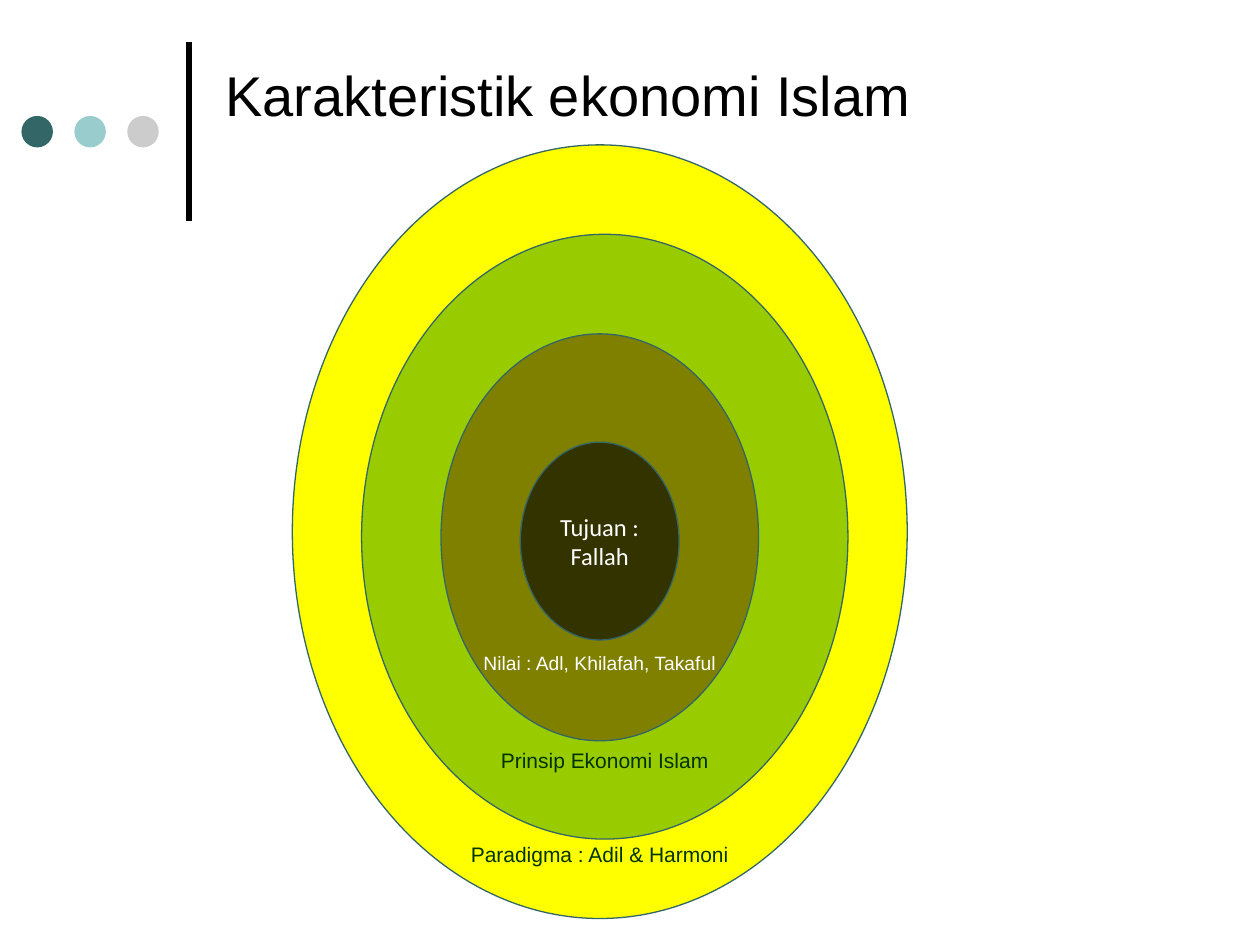
from dataclasses import dataclass

import pptx
import pptx.dml.color
import pptx.enum.shapes
import pptx.enum.text
import pptx.oxml.ns
import pptx.util
from lxml import etree

Inches = pptx.util.Inches
Pt = pptx.util.Pt
RGBColor = pptx.dml.color.RGBColor
Align = pptx.enum.text.PP_ALIGN
Anchor = pptx.enum.text.MSO_ANCHOR
OVAL = pptx.enum.shapes.MSO_SHAPE.OVAL

BLACK = RGBColor(0x00, 0x00, 0x00)
WHITE = RGBColor(0xFF, 0xFF, 0xFF)
TEAL = RGBColor(0x33, 0x66, 0x66)
AQUA = RGBColor(0x99, 0xCC, 0xCC)
GREY = RGBColor(0xCC, 0xCC, 0xCC)
YELLOW = RGBColor(0xFF, 0xFF, 0x00)
LIME = RGBColor(0x99, 0xCC, 0x00)
OLIVE = RGBColor(0x80, 0x80, 0x00)
BROWN = RGBColor(0x33, 0x33, 0x00)
GREEN = RGBColor(0x00, 0x33, 0x00)

LABEL_H = 0.3


@dataclass
class Ring:
    left: float
    top: float
    width: float
    height: float
    fill: RGBColor


@dataclass
class Label:
    text: str
    ring: Ring
    mid: float  # vertical centre
    size: float
    color: RGBColor


OUTER = Ring(2.32, 1.15, 4.88, 6.14, YELLOW)
SECOND = Ring(2.87, 1.86, 3.86, 4.8, LIME)
THIRD = Ring(3.5, 2.65, 2.52, 3.23, OLIVE)
CORE = Ring(4.13, 3.51, 1.26, 1.57, BROWN)

LABELS = [
    Label("Paradigma : Adil & Harmoni", OUTER, 6.78, 12, GREEN),
    Label("Prinsip Ekonomi Islam", SECOND, 6.03, 12, GREEN),
    Label("Nilai : Adl, Khilafah, Takaful", THIRD, 5.26, 11, WHITE),
]


def style(frame, text: str, font: str, size: float, color: RGBColor,
          align=Align.CENTER) -> None:
    frame.text = text
    frame.vertical_anchor = Anchor.MIDDLE
    for para in frame.paragraphs:
        para.alignment = align
        for run in para.runs:
            run.font.name = font
            run.font.size = Pt(size)
            run.font.color.rgb = color


def draw_oval(slide, ring: Ring, edge: bool = True):
    oval = slide.shapes.add_shape(
        OVAL, Inches(ring.left), Inches(ring.top),
        Inches(ring.width), Inches(ring.height))
    oval.shadow.inherit = False
    oval.fill.solid()
    oval.fill.fore_color.rgb = ring.fill
    if edge:
        oval.line.color.rgb = TEAL
        oval.line.width = Pt(0.75)
    else:
        oval.line.fill.background()
    return oval


def draw_label(slide, label: Label) -> None:
    ring = label.ring
    box = slide.shapes.add_textbox(
        Inches(ring.left), Inches(label.mid - LABEL_H / 2),
        Inches(ring.width), Inches(LABEL_H))
    box.text_frame.word_wrap = True
    style(box.text_frame, label.text, "Arial", label.size, label.color)


def draw_bar(slide) -> None:
    bar = slide.shapes.add_connector(
        pptx.enum.shapes.MSO_CONNECTOR.STRAIGHT,
        Inches(1.5), Inches(1.75), Inches(1.5), Inches(0.33))
    bar.line.color.rgb = BLACK
    bar.line.width = Pt(3)
    etree.SubElement(bar._element.spPr, pptx.oxml.ns.qn("a:effectLst"))


def draw_title(slide) -> None:
    title = slide.shapes.title
    title.left, title.top = Inches(1.69), Inches(0.28)
    title.width, title.height = Inches(7.67), Inches(0.94)
    title.text_frame.auto_size = pptx.enum.text.MSO_AUTO_SIZE.NONE
    style(title.text_frame, "Karakteristik ekonomi Islam", "Arial", 32,
          BLACK, Align.LEFT)


def main() -> None:
    deck = pptx.Presentation()
    deck.slide_width, deck.slide_height = Inches(10), Inches(7.5)
    slide = deck.slides.add_slide(deck.slide_layouts[5])

    draw_bar(slide)
    for i, color in enumerate((TEAL, AQUA, GREY)):
        draw_oval(slide, Ring(0.17 + 0.42 * i, 0.92, 0.25, 0.25, color), False)
    draw_title(slide)

    for ring in (OUTER, SECOND, THIRD):
        draw_oval(slide, ring)
    core = draw_oval(slide, CORE)
    core.text_frame.word_wrap = False
    style(core.text_frame, "Tujuan :\nFallah", "Calibri", 14, WHITE)
    for label in LABELS:
        draw_label(slide, label)

    deck.save("out.pptx")


if __name__ == "__main__":
    main()
